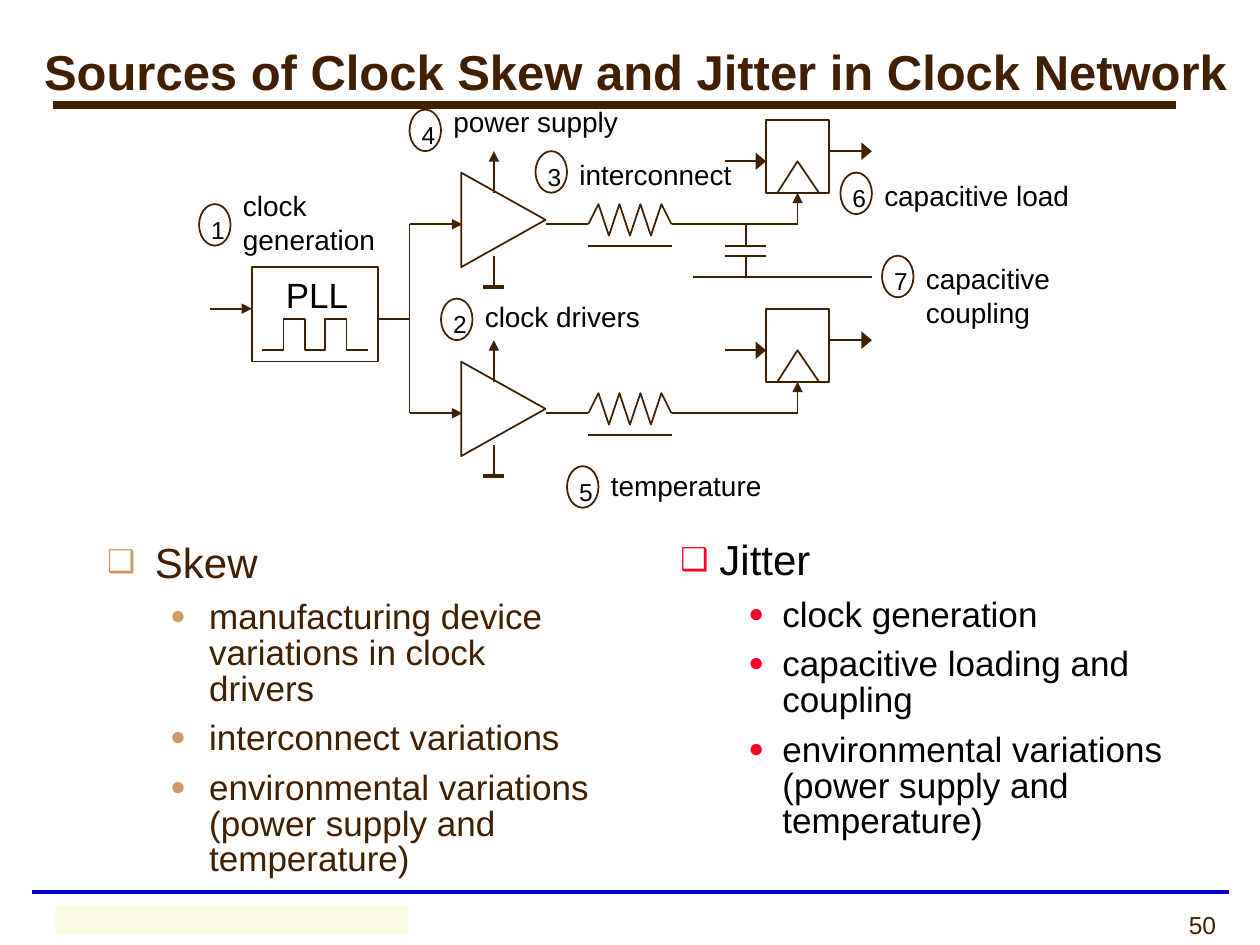
from dataclasses import dataclass

from lxml import etree
from pptx import Presentation
from pptx.dml.color import RGBColor
from pptx.enum.shapes import MSO_CONNECTOR as Connector, MSO_SHAPE as Shape
from pptx.enum.text import MSO_ANCHOR as Anchor, MSO_AUTO_SIZE as AutoSize, PP_ALIGN as Align
from pptx.oxml.ns import qn
from pptx.util import Inches, Pt


@dataclass(frozen=True)
class Theme:
    font: str = "Arial"
    brown: str = "402000"
    black: str = "000000"
    blue: str = "0000CC"
    tan: str = "CE9964"
    red: str = "FC0128"
    cream: str = "FBFAE2"
    title: int = 28
    heading: int = 24
    item: int = 20
    label: int = 16
    number: int = 14
    thin: float = 1
    thick: float = 2.25
    rule: float = 4.5


theme = Theme()
presentation = Presentation()
presentation.slide_width, presentation.slide_height = Inches(10), Inches(7.5)
slide = presentation.slides.add_slide(presentation.slide_layouts[3])
shapes = slide.shapes


def write_text(paragraph, text, size=theme.label, color=theme.black, bold=False, align=Align.LEFT):
    paragraph.alignment = align
    run = paragraph.add_run()
    run.text = text
    run.font.name, run.font.size, run.font.bold = theme.font, Pt(size), bold
    run.font.color.rgb = RGBColor.from_string(color)


def add_line(x1, y1, x2, y2, color=theme.brown, width=theme.thin, arrow=None):
    """Draw a straight line; arrow is the width of the head at its end."""
    line = shapes.add_connector(Connector.STRAIGHT, Inches(x1), Inches(y1), Inches(x2), Inches(y2))
    line.line.color.rgb = RGBColor.from_string(color)
    line.line.width = Pt(width)
    if arrow:
        etree.SubElement(line.line._get_or_add_ln(), qn("a:tailEnd"), type="triangle", w=arrow)
    etree.SubElement(line._element.spPr, qn("a:effectLst"))
    return line


# Page rules and title
add_line(0.25, 7.08, 9.75, 7.08, color=theme.blue, width=theme.thick)
add_line(0.42, 0.83, 9.33, 0.83, width=theme.rule)
title = shapes.title
title.left, title.top, title.width, title.height = Inches(0.25), Inches(0.33), Inches(10), Inches(0.46)
title.text_frame.auto_size = AutoSize.NONE
title.text_frame.vertical_anchor = Anchor.MIDDLE
write_text(title.text_frame.paragraphs[0], "Sources of Clock Skew and Jitter in Clock Network",
           size=theme.title, color=theme.brown, bold=True)

# Outlined blocks, open paths and badges are collected here and drawn below
outlines = [(Shape.RECTANGLE, 2, 2.12, 1, 0.75, 0, "")]
paths = [[(2.08, 2.78), (2.25, 2.78), (2.25, 2.53), (2.42, 2.53), (2.42, 2.78),
          (2.58, 2.78), (2.58, 2.53), (2.75, 2.53), (2.75, 2.78), (2.92, 2.78)]]

# PLL input and clock trunk
add_line(1.67, 2.45, 2, 2.45, arrow="med")
add_line(3, 2.53, 3.25, 2.53)
add_line(3.25, 1.78, 3.25, 3.28)

# Two equal branches: driver, supply, resistor and flip-flop
clock_inputs = []
for wire in (1.78, 3.28):
    add_line(3.25, wire, 3.67, wire, arrow="med")
    outlines.append((Shape.ISOSCELES_TRIANGLE, 3.62, wire - 0.37, 0.75, 0.67, 90, ""))
    add_line(3.92, wire - 0.25, 3.92, wire - 0.58, arrow="med")
    add_line(3.92, wire + 0.25, 3.92, wire + 0.5)
    add_line(3.83, wire + 0.5, 4, wire + 0.5, width=theme.thick)

    add_line(4.33, wire, 4.67, wire)
    peaks = [(4.75 + step / 12, wire + (0.09 if step % 2 else -0.16)) for step in range(7)]
    paths.append([(4.67, wire), *peaks, (5.33, wire)])
    add_line(4.67, wire + 0.17, 5.33, wire + 0.17)
    add_line(5.33, wire, 6.33, wire)

    outlines.append((Shape.RECTANGLE, 6.08, wire - 0.83, 0.5, 0.58, 0, ""))
    paths.append([(6.17, wire - 0.25), (6.33, wire - 0.5), (6.5, wire - 0.25)])
    add_line(5.75, wire - 0.5, 6.08, wire - 0.5, arrow="lg")
    add_line(6.58, wire - 0.58, 6.92, wire - 0.58, arrow="lg")
    clock_inputs.append((add_line(6.33, wire, 6.33, wire - 0.25, arrow="med"), len(outlines) - 1))

# Coupling capacitor and neighbouring wire
add_line(5.5, 2.2, 6.92, 2.2)
for plate, lead_end in ((1.95, 1.78), (2.03, 2.2)):
    add_line(5.75, plate, 6.08, plate)
    add_line(5.92, plate, 5.92, lead_end)

# Numbered sources: number, badge left and top, label top, width, height, text
sources = [
    ("1", 1.58, 1.62, 1.45, 1.33, 0.64, "clock generation"),
    ("2", 3.5, 2.37, 2.33, 1.67, 0.37, "clock drivers"),
    ("3", 4.25, 1.2, 1.2, 1.67, 0.37, "interconnect"),
    ("4", 3.25, 0.87, 0.78, 1.67, 0.37, "power supply"),
    ("5", 4.5, 3.7, 3.67, 1.67, 0.37, "temperature"),
    ("6", 6.67, 1.37, 1.37, 2, 0.37, "capacitive load"),
    ("7", 7, 2.03, 2.03, 1.67, 0.64, "capacitive coupling"),
]
labels = [
    (2.17, 2.12, 0.7, 0.43, "PLL", dict(size=theme.item)),
    (7.58, 7.17, 2.17, 0.33, "50", dict(size=theme.number, color=theme.brown, align=Align.RIGHT)),
]
for number, left, top, label_top, width, height, text in sources:
    outlines.append((Shape.OVAL, left, top, 0.25, 0.33, 0, number))
    labels.append((left + 0.25, label_top, width, height, text, {}))

# Draw the outlined blocks and badges
blocks = []
for kind, left, top, width, height, rotation, text in outlines:
    block = shapes.add_shape(kind, Inches(left), Inches(top), Inches(width), Inches(height))
    block.rotation = rotation
    block.shadow.inherit = False
    block.fill.background()
    block.line.color.rgb = RGBColor.from_string(theme.brown)
    block.line.width = Pt(theme.thin)
    if text:
        frame = block.text_frame
        frame.word_wrap = False
        frame.margin_left, frame.margin_top = Inches(0.05), Inches(0.07)
        frame.margin_right = frame.margin_bottom = 0
        frame.vertical_anchor = Anchor.MIDDLE
        write_text(frame.paragraphs[0], text, size=theme.number, align=Align.CENTER)
    blocks.append(block)
for line, index in clock_inputs:
    line.end_connect(blocks[index], 2)

# Draw the open paths
for points in paths:
    corners = [(Inches(x), Inches(y)) for x, y in points]
    builder = shapes.build_freeform(*corners[0])
    builder.add_line_segments(corners[1:], close=False)
    path_shape = builder.convert_to_shape()
    path_shape.shadow.inherit = False
    path_shape.fill.background()
    path_shape.line.color.rgb = RGBColor.from_string(theme.brown)
    path_shape.line.width = Pt(theme.thin)

# Labels
for left, top, width, height, text, text_format in labels:
    box = shapes.add_textbox(Inches(left), Inches(top), Inches(width), Inches(height))
    box.text_frame.word_wrap = True
    write_text(box.text_frame.paragraphs[0], text, **text_format)

# Skew and jitter lists
environment = "environmental variations (power supply and temperature)"
lists = [
    (1, 0.75, (0.1, 0.05), (0.38, 0.31), theme.brown, theme.tan,
     ["Skew", "manufacturing device variations in clock drivers", "interconnect variations", environment]),
    (2, 5.33, (0.07, 0.03), (0.31, 0.27), theme.black, theme.red,
     ["Jitter", "clock generation", "capacitive loading and coupling", environment]),
]
for index, left, (side, edge), hangs, color, bullet_color, lines in lists:
    body = slide.placeholders[index]
    body.left, body.top, body.width, body.height = Inches(left), Inches(4.25), Inches(4.08), Inches(2.51)
    frame = body.text_frame
    frame.auto_size = AutoSize.NONE
    frame.margin_left = frame.margin_right = Inches(side)
    frame.margin_top = frame.margin_bottom = Inches(edge)
    for position, text in enumerate(lines):
        level = min(position, 1)
        paragraph = frame.add_paragraph() if position else frame.paragraphs[0]
        paragraph.level = level
        paragraph.line_spacing = (0.9, 0.85)[level]
        paragraph.space_before = Pt((0, 8)[level])
        write_text(paragraph, text, size=(theme.heading, theme.item)[level], color=color)
        properties = paragraph._p.get_or_add_pPr()
        properties.set("marL", str(Inches((hangs[0], 0.81)[level])))
        properties.set("indent", str(-Inches(hangs[level])))
        bullet = etree.SubElement(properties, qn("a:buClr"))
        etree.SubElement(bullet, qn("a:srgbClr"), val=bullet_color)
        etree.SubElement(properties, qn("a:buSzPct"), val="75000")
        etree.SubElement(properties, qn("a:buFont"), typeface=theme.font)
        etree.SubElement(properties, qn("a:buChar"), char="❑●"[level])

# Footer block
footer = shapes.add_shape(Shape.RECTANGLE, Inches(0.44), Inches(7.19), Inches(2.8), Inches(0.22))
footer.shadow.inherit = False
footer.fill.solid()
footer.fill.fore_color.rgb = RGBColor.from_string(theme.cream)
footer.line.fill.background()

presentation.save("out.pptx")
